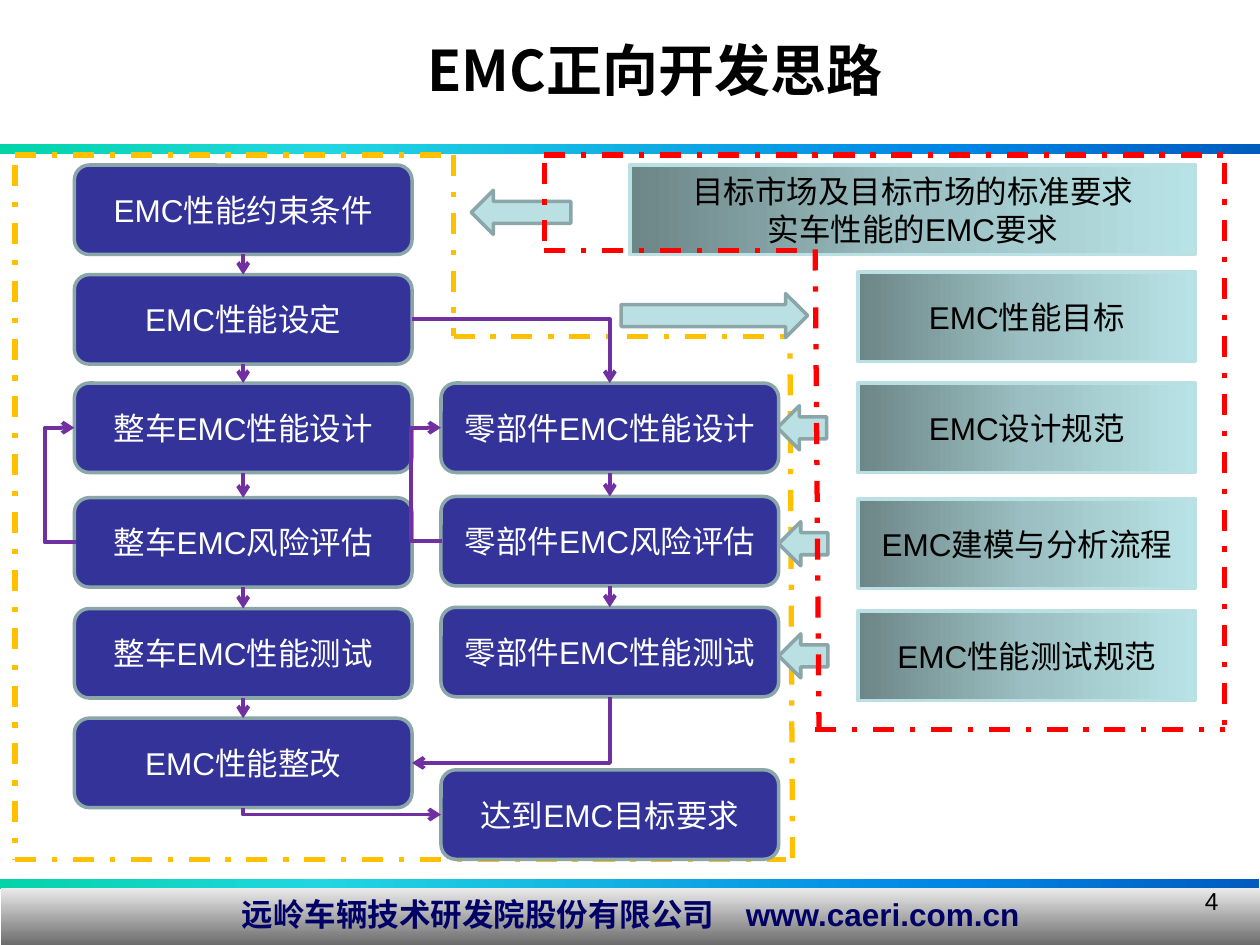
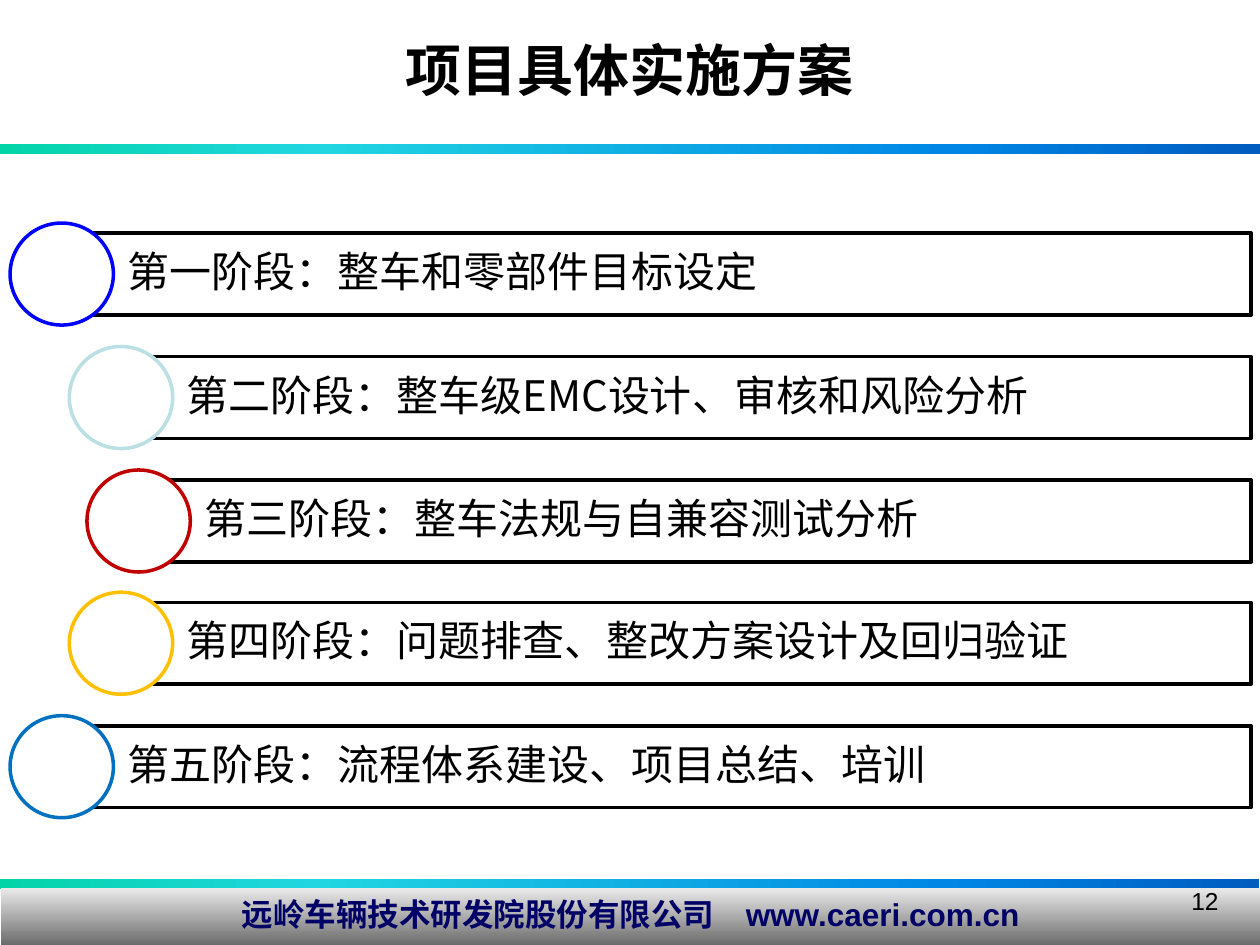
from collections import namedtuple
from itertools import pairwise

from lxml.etree import SubElement
from pptx import Presentation
from pptx.dml.color import RGBColor
from pptx.enum.dml import MSO_LINE
from pptx.enum.shapes import MSO_CONNECTOR, MSO_SHAPE
from pptx.enum.text import MSO_ANCHOR, PP_ALIGN
from pptx.oxml.ns import qn
from pptx.util import Pt

PX = 9144
Box = namedtuple("Box", "left top width height")

BLACK = RGBColor(0x00, 0x00, 0x00)
WHITE = RGBColor(0xFF, 0xFF, 0xFF)
NAVY = RGBColor(0x00, 0x00, 0x66)
INDIGO = RGBColor(0x33, 0x33, 0x99)
PALE_TEAL = RGBColor(0xBB, 0xE0, 0xE3)
GREY_TEAL = RGBColor(0x8A, 0xA6, 0xA8)
PURPLE = RGBColor(0x70, 0x30, 0xA0)
AMBER = RGBColor(0xFF, 0xC0, 0x00)
RED = RGBColor(0xFF, 0x00, 0x00)
BLUE = RGBColor(0x00, 0x00, 0xFF)
DARK_RED = RGBColor(0xC0, 0x00, 0x00)
MID_BLUE = RGBColor(0x00, 0x70, 0xC0)

BAND_STOPS = [
    (0, RGBColor(0x03, 0xD4, 0xA8)),
    (25, RGBColor(0x21, 0xD6, 0xE0)),
    (75, RGBColor(0x00, 0x87, 0xE6)),
    (100, RGBColor(0x00, 0x5C, 0xBF)),
]
FOOTER_STOPS = [
    (0, RGBColor(0xEA, 0xEA, 0xEA)),
    (100, RGBColor(0x6C, 0x6C, 0x6C)),
]
PANEL_STOPS = [
    (0, RGBColor(0x6D, 0x86, 0x88)),
    (50, RGBColor(0x9B, 0xBF, 0xC2)),
    (100, RGBColor(0xB8, 0xE3, 0xE6)),
]

CJK = "Noto Sans CJK SC"
TITLE_FONT = {"name": CJK, "size": Pt(32), "bold": True}
FOOTER_FONT = {"name": "Arial", "size": Pt(18), "bold": True}
NUMBER_FONT = {"name": "Arial", "size": Pt(14)}
BOX_FONT = {"name": "Arial", "size": Pt(18)}
STAGE_FONT = {"name": CJK, "size": Pt(24)}
STAGE_FRAME = {
    "margin_left": 52 * PX,
    "margin_right": 7 * PX,
    "margin_top": 7 * PX,
    "margin_bottom": 7 * PX,
}


def apply(target, values):
    for name, value in values.items():
        setattr(target, name, value)


def inside(box, left, top, width, height):
    return Box(box.left + left, box.top + top, width, height)


def emu(values):
    return [value * PX for value in values]


def write(holder, lines, font, color, align=PP_ALIGN.CENTER, anchor=MSO_ANCHOR.MIDDLE):
    frame = holder.text_frame
    apply(frame, {"word_wrap": True, "vertical_anchor": anchor})
    frame.text = lines
    for paragraph in frame.paragraphs:
        paragraph.alignment = align
        for run in paragraph.runs:
            apply(run.font, font)
            run.font.color.rgb = color
            SubElement(run.font._element, qn("a:ea")).set("typeface", CJK)


def label(slide, box, text, font, color, align=PP_ALIGN.CENTER):
    holder = slide.shapes.add_textbox(*emu(box))
    write(holder, text, font, color, align, MSO_ANCHOR.TOP)


def draw(slide, kind, box, fill, border=None):
    shape = slide.shapes.add_shape(kind, *emu(box))
    shape.shadow.inherit = False
    if isinstance(fill, list):
        shape.fill.gradient()
        stops = shape._element.spPr.find(".//" + qn("a:gsLst"))
        for stop in list(stops):
            stops.remove(stop)
        for position, color in fill:
            stop = SubElement(stops, qn("a:gs"))
            stop.set("pos", str(position * 1000))
            SubElement(stop, qn("a:srgbClr")).set("val", str(color))
        shape.fill.gradient_angle = 0
    else:
        shape.fill.solid()
        shape.fill.fore_color.rgb = fill
    if border is None:
        shape.line.fill.background()
    else:
        shape.line.color.rgb = border
        shape.line.width = Pt(2)
    return shape


def connect(slide, kind, start, end, color, width):
    connector = slide.shapes.add_connector(kind, *start, *end)
    connector.line.color.rgb = color
    connector.line.width = Pt(width)
    SubElement(connector._element.spPr, qn("a:effectLst"))
    return connector


def flow_arrow(slide, kind, start, end):
    connector = connect(slide, kind, start, end, PURPLE, 2.25)
    line = connector._element.spPr.find(qn("a:ln"))
    SubElement(line, qn("a:tailEnd")).set("type", "arrow")
    return connector


def side(shape, index):
    middle_x = shape.left + shape.width // 2
    middle_y = shape.top + shape.height // 2
    return [
        (middle_x, shape.top),
        (shape.left, middle_y),
        (middle_x, shape.top + shape.height),
        (shape.left + shape.width, middle_y),
    ][index]


def join_down(slide, upper, lower):
    arrow = flow_arrow(slide, MSO_CONNECTOR.STRAIGHT, side(upper, 2), side(lower, 0))
    arrow.begin_connect(upper, 2)
    arrow.end_connect(lower, 0)


def corner_arrow(slide, start, end, down_first=False):
    (x1, y1), (x2, y2) = start, end
    if down_first:
        width, height = y2 - y1, abs(x2 - x1)
        left, top = (x1 + x2 - width) // 2, (y1 + y2 - height) // 2
        start, end = (left, top), (left + width, top + height)
    arrow = flow_arrow(slide, MSO_CONNECTOR.ELBOW, start, end)
    properties = arrow._element.spPr
    properties.find(qn("a:prstGeom")).set("prst", "bentConnector2")
    if down_first:
        turn = {"rot": "5400000"} if x2 < x1 else {"rot": "16200000", "flipH": "1"}
        for name, value in turn.items():
            properties.find(qn("a:xfrm")).set(name, value)


def return_arrow(slide, lower, upper):
    x, y = side(lower, 1)
    arrow = flow_arrow(slide, MSO_CONNECTOR.ELBOW, (x + PX, y), side(upper, 1))
    geometry = arrow._element.spPr.find(qn("a:prstGeom"))
    adjustments = geometry.find(qn("a:avLst"))
    if adjustments is None:
        adjustments = SubElement(geometry, qn("a:avLst"))
    guide = SubElement(adjustments, qn("a:gd"))
    guide.set("name", "adj1")
    guide.set("fmla", "val 2500000")


def base_slide(deck, title, title_left, number):
    slide = deck.slides.add_slide(deck.slide_layouts[6])
    for band in (Box(0, 698, 999, 8), Box(0, 114, 1000, 8)):
        draw(slide, MSO_SHAPE.RECTANGLE, band, BAND_STOPS)
    footer = draw(slide, MSO_SHAPE.RECTANGLE, Box(1, 705, 999, 45), FOOTER_STOPS)
    footer.fill.gradient_angle = 270
    write(footer, "远岭车辆技术研发院股份有限公司　www.caeri.com.cn",
          FOOTER_FONT, NAVY, anchor=MSO_ANCHOR.TOP)
    label(slide, Box(title_left, 23, 1000, 77), title, TITLE_FONT, BLACK)
    label(slide, Box(744, 698, 233, 52), number, NUMBER_FONT, BLACK, PP_ALIGN.RIGHT)
    return slide


def dashed_outline(slide, box, color, segments):
    for x1, y1, x2, y2 in segments:
        start = emu((box.left + x1, box.top + y1))
        end = emu((box.left + x2, box.top + y2))
        edge = connect(slide, MSO_CONNECTOR.STRAIGHT, start, end, color, 3)
        edge.line.dash_style = MSO_LINE.DASH_DOT


def exchange_arrows(slide, box):
    for left, top, width, rotation in (
        (244, 352, 39, 180),
        (244, 263, 39, 180),
        (243, 171, 39, 180),
        (0, 0, 79, 180),
        (119, 82, 148, 0),
    ):
        arrow = draw(slide, MSO_SHAPE.RIGHT_ARROW, inside(box, left, top, width, 35),
                     PALE_TEAL, GREY_TEAL)
        arrow.rotation = rotation


def step_column(slide, box, left, steps):
    column = []
    for top, text in steps:
        step = draw(slide, MSO_SHAPE.ROUNDED_RECTANGLE, inside(box, left, top, 268, 71),
                    INDIGO, GREY_TEAL)
        write(step, text, BOX_FONT, WHITE)
        column.append(step)
    return column


def development_flow(slide, box):
    vehicle = step_column(slide, box, 47, [
        (8, "EMC性能约束条件"),
        (95, "EMC性能设定"),
        (181, "整车EMC性能设计"),
        (272, "整车EMC风险评估"),
        (360, "整车EMC性能测试"),
        (447, "EMC性能整改"),
    ])
    component = step_column(slide, box, 338, [
        (181, "零部件EMC性能设计"),
        (271, "零部件EMC风险评估"),
        (359, "零部件EMC性能测试"),
        (488, "达到EMC目标要求"),
    ])
    setting, rework = vehicle[1], vehicle[5]
    design, assessment, test, target = component
    for upper, lower in [*pairwise(vehicle), (design, assessment), (assessment, test)]:
        join_down(slide, upper, lower)
    corner_arrow(slide, side(setting, 3), side(design, 0))
    corner_arrow(slide, side(test, 2), side(rework, 3), down_first=True)
    corner_arrow(slide, side(rework, 2), side(target, 1), down_first=True)
    return_arrow(slide, vehicle[3], vehicle[2])
    return_arrow(slide, assessment, design)


def reference_panels(slide, box):
    for left, top, width, text in (
        (68, 8, 449, "目标市场及目标市场的标准要求\n实车性能的EMC要求"),
        (249, 93, 268, "EMC性能目标"),
        (249, 181, 268, "EMC设计规范"),
        (249, 273, 268, "EMC建模与分析流程"),
        (249, 362, 268, "EMC性能测试规范"),
    ):
        panel = draw(slide, MSO_SHAPE.RECTANGLE, inside(box, left, top, width, 71),
                     PANEL_STOPS, PALE_TEAL)
        write(panel, text, BOX_FONT, BLACK)


def approach_slide(deck):
    slide = base_slide(deck, "EMC正向开发思路", 20, "4")
    flow = Box(12, 123, 617, 559)
    references = Box(432, 123, 540, 456)
    dashed_outline(slide, flow, AMBER, [
        (617, 558, 615, 152),
        (0, 8, 0, 559),
        (0, 559, 612, 559),
        (0, 0, 348, 0),
        (348, 0, 348, 144),
        (348, 144, 612, 144),
    ])
    exchange_arrows(slide, Box(374, 151, 283, 387))
    development_flow(slide, flow)
    reference_panels(slide, references)
    dashed_outline(slide, references, RED, [
        (0, 0, 540, 0),
        (0, 6, 0, 76),
        (0, 76, 210, 76),
        (215, 75, 218, 456),
        (215, 456, 540, 456),
        (540, 6, 540, 456),
    ])


def stage_list(slide, box):
    stages = [
        (41, BLUE, "第一阶段：整车和零部件目标设定"),
        (88, PALE_TEAL, "第二阶段：整车级EMC设计、审核和风险分析"),
        (102, DARK_RED, "第三阶段：整车法规与自兼容测试分析"),
        (88, AMBER, "第四阶段：问题排查、整改方案设计及回归验证"),
        (41, MID_BLUE, "第五阶段：流程体系建设、项目总结、培训"),
    ]
    pitch = (box.height - 81) / (len(stages) - 1)
    for index, (left, color, text) in enumerate(stages):
        top = round(index * pitch)
        bar = draw(slide, MSO_SHAPE.RECTANGLE,
                   inside(box, left, top + 8, box.width - left, 65), WHITE, BLACK)
        write(bar, text, STAGE_FONT, BLACK, PP_ALIGN.LEFT)
        apply(bar.text_frame, STAGE_FRAME)
        bar.text_frame.paragraphs[0].line_spacing = 0.9
        draw(slide, MSO_SHAPE.OVAL, inside(box, left - 41, top, 82, 81), WHITE, color)


def plan_slide(deck):
    slide = base_slide(deck, "项目具体实施方案", 0, "12")
    stage_list(slide, Box(8, 177, 985, 472))


def main():
    deck = Presentation()
    apply(deck, {"slide_width": 1000 * PX, "slide_height": 750 * PX})
    approach_slide(deck)
    plan_slide(deck)
    deck.save("out.pptx")


if __name__ == "__main__":
    main()
